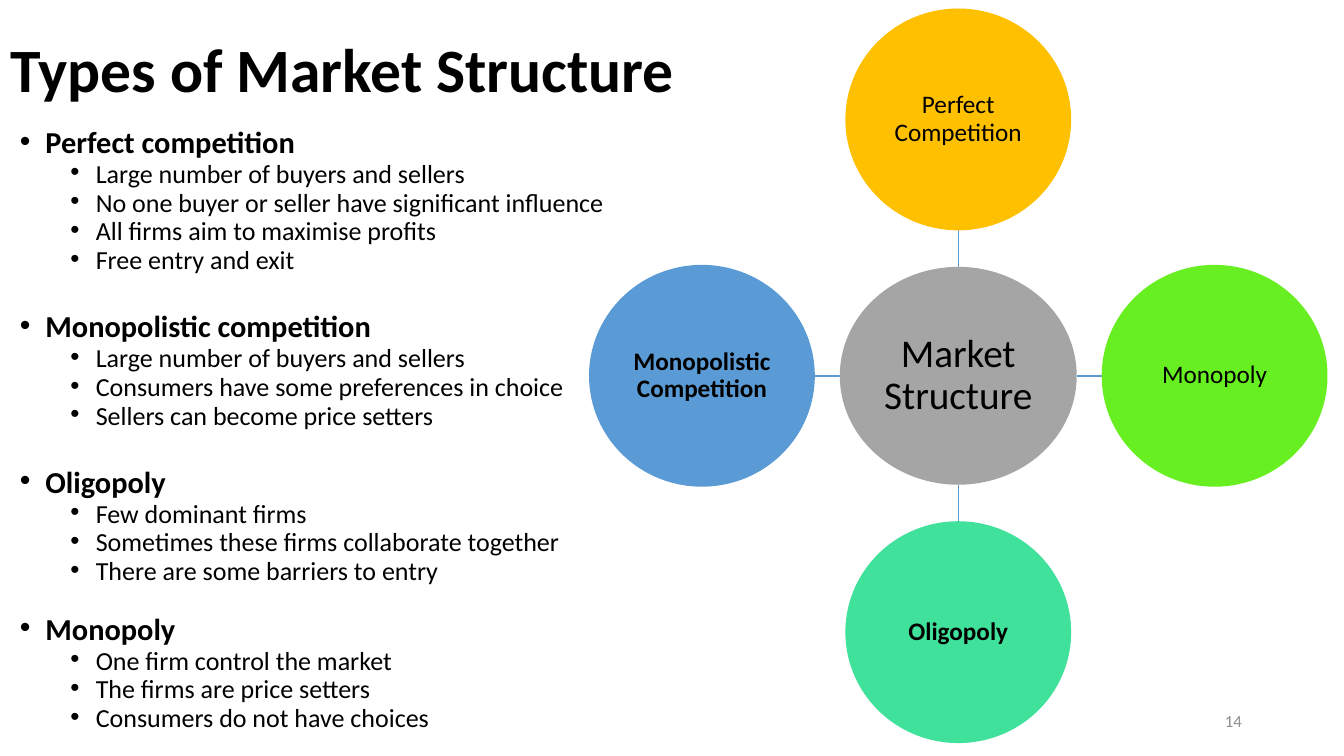
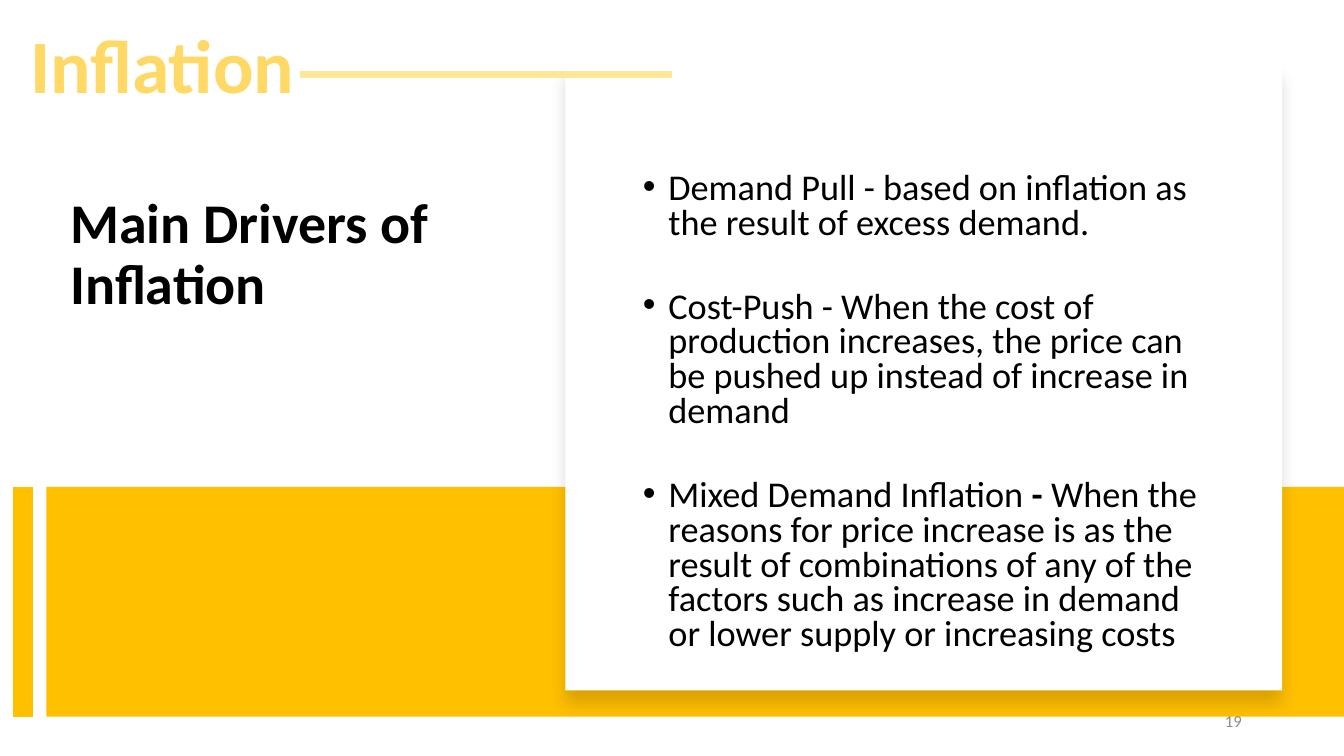
from lxml.etree import SubElement
from pptx import Presentation
from pptx.dml.color import RGBColor
from pptx.enum.shapes import MSO_CONNECTOR, MSO_SHAPE
from pptx.enum.text import MSO_ANCHOR, MSO_AUTO_SIZE, PP_ALIGN
from pptx.oxml.ns import qn
from pptx.util import Cm, Pt

FONT = "Calibri"
BLACK = RGBColor(0x00, 0x00, 0x00)
WHITE = RGBColor(0xFF, 0xFF, 0xFF)
GRAY = RGBColor(0xA5, 0xA5, 0xA5)
NUMBER_GRAY = RGBColor(0x8C, 0x8C, 0x8C)
GOLD = RGBColor(0xFF, 0xC0, 0x00)
SOFT_GOLD = RGBColor(0xFF, 0xD9, 0x66)
PALE_GOLD = RGBColor(0xFF, 0xE6, 0x99)
BLUE = RGBColor(0x5B, 0x9B, 0xD5)
LIME = RGBColor(0x67, 0xEF, 0x21)
MINT = RGBColor(0x3F, 0xE1, 0x9B)

MARKET_TYPES = [
    ("Perfect competition", 0, [
        "Large number of buyers and sellers",
        "No one buyer or seller have significant influence",
        "All firms aim to maximise profits",
        "Free entry and exit",
    ]),
    ("Monopolistic competition", 31, [
        "Large number of buyers and sellers",
        "Consumers have some preferences in choice",
        "Sellers can become price setters",
    ]),
    ("Oligopoly", 31, [
        "Few dominant firms",
        "Sometimes these firms collaborate together",
        "There are some barriers to entry",
    ]),
    ("Monopoly", 25, [
        "One firm control the market",
        "The firms are price setters",
        "Consumers do not have choices",
    ]),
]
SATELLITES = [
    ("Perfect Competition", 0, -1, GOLD, False),
    ("Monopoly", 1, 0, LIME, False),
    ("Oligopoly", 0, 1, MINT, True),
    ("Monopolistic Competition", -1, 0, BLUE, True),
]
DRIVERS = [
    [("Demand Pull - based on inflation as the result of excess demand.", False)],
    [("Cost-Push - When the cost of production increases, the price can be "
      "pushed up instead of increase in demand", False)],
    [("Mixed Demand Inflation ", False), ("- ", True),
     ("When the reasons for price increase is as the result of combinations of "
      "any of the factors such as increase in demand or lower supply or "
      "increasing costs", False)],
]

HUB_X, HUB_Y = 24.15, 9.47
HUB_WIDTH, HUB_HEIGHT = 5.97, 5.49
SATELLITE_WIDTH, SATELLITE_HEIGHT = 5.69, 5.59
SATELLITE_DISTANCE = 6.46


def write(paragraph, text, size, color=BLACK, bold=False,
          align=PP_ALIGN.LEFT, spacing=1.0, before=0):
    paragraph.alignment = align
    paragraph.line_spacing = spacing
    paragraph.space_before = Pt(before)
    run = paragraph.add_run()
    run.text = text
    font = run.font
    font.name, font.size, font.bold = FONT, Pt(size), bold
    font.color.rgb = color


def next_paragraph(frame):
    first = frame.paragraphs[0]
    return frame.add_paragraph() if first.runs else first


def add_bullet(frame, level):
    paragraph = next_paragraph(frame)
    paragraph.level = level
    properties = paragraph._p.get_or_add_pPr()
    properties.set("marL", str(Cm(0.64 + 1.27 * level)))
    properties.set("indent", str(-Cm(0.64)))
    SubElement(properties, qn("a:buFont")).set("typeface", "Arial")
    SubElement(properties, qn("a:buChar")).set("char", "•")
    return paragraph


def place(placeholder, left, top, width, height, anchor=MSO_ANCHOR.TOP):
    placeholder.left, placeholder.top = Cm(left), Cm(top)
    placeholder.width, placeholder.height = Cm(width), Cm(height)
    frame = placeholder.text_frame
    frame.word_wrap = True
    frame.auto_size = MSO_AUTO_SIZE.NONE
    frame.vertical_anchor = anchor
    return frame


def add_label(slide, text, left, top, width, height,
              anchor=MSO_ANCHOR.TOP, wrap=True, **style):
    box = slide.shapes.add_textbox(Cm(left), Cm(top), Cm(width), Cm(height))
    frame = box.text_frame
    frame.word_wrap = wrap
    frame.vertical_anchor = anchor
    write(frame.paragraphs[0], text, **style)


def add_slide_number(slide, number):
    add_label(slide, number, 23.93, 17.65, 7.62, 1.02, MSO_ANCHOR.MIDDLE,
              size=12, color=NUMBER_GRAY, align=PP_ALIGN.RIGHT)


def add_filled(slide, preset, left, top, width, height, fill):
    shape = slide.shapes.add_shape(preset, Cm(left), Cm(top), Cm(width), Cm(height))
    shape.shadow.inherit = False
    shape.fill.solid()
    shape.fill.fore_color.rgb = fill
    shape.line.fill.background()
    return shape


def add_line(slide, x1, y1, x2, y2, color, weight):
    line = slide.shapes.add_connector(
        MSO_CONNECTOR.STRAIGHT, Cm(x1), Cm(y1), Cm(x2), Cm(y2))
    line.line.color.rgb = color
    line.line.width = Pt(weight)
    SubElement(line.element.spPr, qn("a:effectLst"))


def add_circle(slide, text, center_x, center_y, width, height, fill, size, bold=False):
    circle = add_filled(slide, MSO_SHAPE.OVAL, center_x - width / 2,
                        center_y - height / 2, width, height, fill)
    frame = circle.text_frame
    frame.word_wrap = True
    frame.vertical_anchor = MSO_ANCHOR.MIDDLE
    frame.margin_left = frame.margin_right = Cm(0.03)
    frame.margin_top = frame.margin_bottom = Cm(0.03)
    write(frame.paragraphs[0], text, size, bold=bold,
          align=PP_ALIGN.CENTER, spacing=0.9)


def add_soft_shadow(shape):
    effects = shape.element.spPr.find(qn("a:effectLst"))
    shadow = SubElement(effects, qn("a:outerShdw"), blurRad=str(Pt(11)),
                        dist=str(Pt(10)), dir="5400000", rotWithShape="0")
    color = SubElement(shadow, qn("a:srgbClr"), val="000000")
    SubElement(color, qn("a:alpha"), val="15000")


def add_content_slide(presentation):
    slide = presentation.slides.add_slide(presentation.slide_layouts[1])
    return slide, slide.shapes.title, slide.placeholders[1]


def add_market_diagram(slide):
    for text, dx, dy, fill, bold in SATELLITES:
        center_x = HUB_X + dx * SATELLITE_DISTANCE
        center_y = HUB_Y + dy * SATELLITE_DISTANCE
        add_line(slide, HUB_X + dx * HUB_WIDTH / 2, HUB_Y + dy * HUB_HEIGHT / 2,
                 center_x - dx * SATELLITE_WIDTH / 2,
                 center_y - dy * SATELLITE_HEIGHT / 2, BLUE, 1)
        add_circle(slide, text, center_x, center_y,
                   SATELLITE_WIDTH, SATELLITE_HEIGHT, fill, 18, bold)
    add_circle(slide, "Market Structure", HUB_X, HUB_Y, HUB_WIDTH, HUB_HEIGHT, GRAY, 28)


def build_market_slide(presentation):
    slide, title, body = add_content_slide(presentation)
    heading = place(title, 0, 0, 29.2, 3.68, MSO_ANCHOR.MIDDLE)
    write(heading.paragraphs[0], "Types of Market Structure", 44, bold=True, spacing=0.9)
    outline = place(body, 0.25, 3.23, 15.54, 15.72)
    for market, gap, features in MARKET_TYPES:
        write(add_bullet(outline, 0), market, 21.7, bold=True, spacing=0.7, before=gap)
        for feature in features:
            write(add_bullet(outline, 1), feature, 18.6, spacing=0.7, before=5)
    add_market_diagram(slide)
    add_slide_number(slide, "14")


def build_inflation_slide(presentation):
    slide, title, body = add_content_slide(presentation)
    heading = place(title, 1.52, 4.8, 12.29, 7.47)
    write(heading.paragraphs[0], "Main Drivers of Inflation", 40, bold=True, spacing=0.9)
    add_filled(slide, MSO_SHAPE.RECTANGLE, 1.17, 12.27, 32.7, 5.79, GOLD)
    add_line(slide, 0.58, 12.27, 0.58, 18.06, GOLD, 14)
    panel = add_filled(slide, MSO_SHAPE.RECTANGLE, 14.25, 1.63, 18.06, 15.77, WHITE)
    add_soft_shadow(panel)
    slide.shapes.element.append(body.element)
    drivers = place(body, 14.68, 4.22, 15.9, 12.5)
    for index, parts in enumerate(DRIVERS):
        paragraph = add_bullet(drivers, 1)
        for text, bold in parts:
            write(paragraph, text, 25.9, bold=bold, spacing=0.8,
                  before=35 if index else 0)
    add_label(slide, "Inflation", 0.46, 0.33, 7.26, 2.57, wrap=False,
              size=54, color=SOFT_GOLD, bold=True, align=PP_ALIGN.CENTER)
    add_slide_number(slide, "19")
    add_line(slide, 7.57, 1.88, 16.94, 1.88, PALE_GOLD, 4.5)


def main():
    presentation = Presentation()
    presentation.slide_width = Cm(33.87)
    presentation.slide_height = Cm(19.05)
    build_market_slide(presentation)
    build_inflation_slide(presentation)
    presentation.save("out.pptx")


if __name__ == "__main__":
    main()
